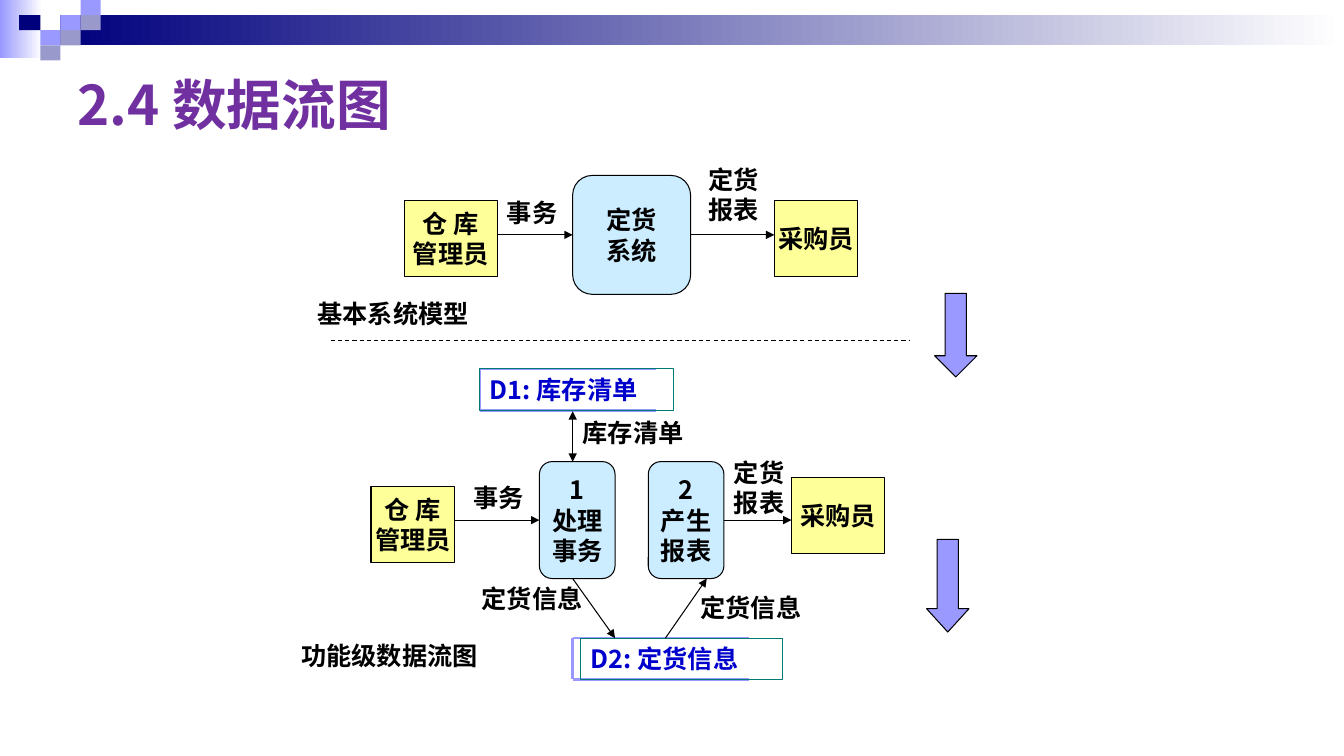
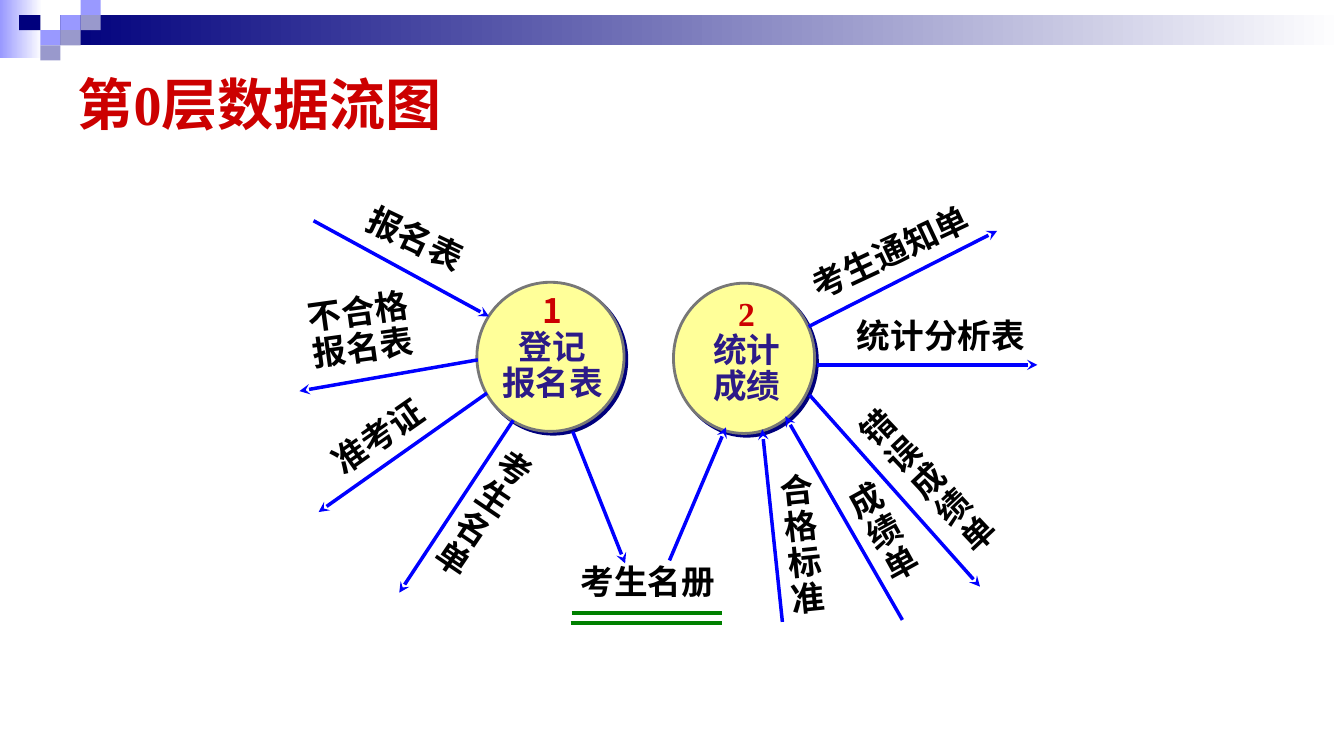
import pptx
import pptx.dml.color
import pptx.enum.dml
import pptx.enum.shapes
import pptx.enum.text
import pptx.oxml
import pptx.oxml.ns
import pptx.util
from dataclasses import dataclass

PX = 9144  # EMU in one px, 100 px to the inch
KIND = pptx.enum.shapes.MSO_SHAPE
MID = pptx.enum.text.MSO_ANCHOR.MIDDLE
LEFT = pptx.enum.text.PP_ALIGN.LEFT
CENTER = pptx.enum.text.PP_ALIGN.CENTER


@dataclass(frozen=True)
class Theme:
    sans: str = "Noto Sans CJK SC"
    sans_jp: str = "Noto Sans CJK JP"
    serif: str = "Times New Roman"
    black: str = "000000"
    navy: str = "00007D"
    violet: str = "9999FF"
    gray: str = "9999CC"
    white: str = "FFFFFF"
    yellow: str = "FFFF99"
    sky: str = "CCECFF"
    teal: str = "007A77"
    blue: str = "0000FF"
    ink: str = "0000CC"
    purple: str = "7030A0"
    red: str = "CC0000"
    indigo: str = "2C1A88"
    rim: str = "777777"
    green: str = "008000"
    small: int = 18
    large: int = 24
    thin: float = 0.75
    mid: float = 2
    bold: float = 2.5
    thick: float = 3


T = Theme()

# Shared by both slides: box and fill; a pair of colours is a gradient
BAND = [
    ((0, 0, 42, 58), (T.violet, T.white)),
    ((60, 15, 1273, 30), (T.navy, T.white)),
    ((60, 15, 20, 15), T.violet),
    ((80, 0, 20, 15), T.violet),
    ((80, 15, 20, 15), T.gray),
    ((40, 30, 20, 15), T.violet),
    ((19, 15, 21, 15), T.navy),
    ((60, 30, 20, 15), T.gray),
    ((40, 45, 20, 15), T.gray),
]
TITLE_BOX = (67, 50, 1200, 105)

# Slide 1: system model above, functions below
PEOPLE = [
    ("仓 库\n管理员", (401, 199, 92, 75)),
    ("采购员", (768, 199, 83, 75)),
    ("仓 库\n管理员", (368, 483, 83, 75)),
    ("采购员", (785, 474, 92, 75)),
]
TASKS = [
    ("定货\n系统", (568, 174, 117, 118)),
    ("1\n处理\n事务", (535, 458, 75, 116)),
    ("2\n产生\n报表", (643, 458, 75, 116)),
]
STORES = [  # text, box, left of the bracket
    ("D1: 库存清单", (476, 366, 192, 41), 476),
    ("D2: 定货信息", (576, 633, 200, 41), 568),
]
BRACKET = 175
FLOWS = [
    ((493, 233), (568, 233)),
    ((685, 233), (768, 233)),
    ((451, 516), (535, 516)),
    ((718, 516), (785, 516)),
    ((568, 574), (610, 633)),
    ((660, 633), (701, 574)),
]
STOCK = ((568, 408), (568, 458))
SPLIT = ((328, 338), (903, 338))
NOTES = [
    ("基本系统模型", (305, 291, 175, 40)),
    ("功能级数据流图", (289, 630, 208, 40)),
    ("事务", (493, 191, 75, 40)),
    ("定货报表", (693, 158, 75, 70)),
    ("事务", (460, 474, 75, 40)),
    ("定货报表", (718, 449, 75, 70)),
    ("定货信息", (468, 574, 142, 40)),
    ("定货信息", (685, 583, 125, 40)),
    ("库存清单", (568, 409, 122, 40)),
]
STEPS = [((927, 291, 42, 83), 0.5), ((919, 535, 42, 92), 0.55)]

# Slide 2: two processes, their flows and one file
DISCS = [  # number, its font, name, disc, text box
    ("1", T.sans, "登记\n报名表", (473, 280, 146, 148), (478, 287, 140, 119)),
    ("2", T.serif, "统计\n成绩", (668, 281, 140, 149), (689, 290, 103, 119)),
]
RAYS = [
    ((311, 219), (485, 314)),
    ((474, 357), (297, 388)),
    ((483, 390), (316, 508)),
    ((509, 417), (396, 588)),
    ((568, 428), (620, 559)),
    ((664, 556), (720, 424)),
    ((802, 324), (989, 229)),
    ((810, 362), (1029, 362)),
    ((803, 392), (972, 582)),
    ((895, 615), (779, 413)),
    ((776, 617), (756, 426)),
]
FILE = [((567, 608), (716, 608)), ((566, 618), (716, 618))]
NAMES = [  # text, box, turn, line spacing
    ("报名表", (352, 212, 124, 51), 25.5, 1),
    ("不合格\n报名表", (298, 287, 126, 83), 352.1, 0.9),
    ("准考证", (314, 404, 131, 51), 325.1, 1),
    ("考生名单", (452, 434, 53, 156), 34.1, 0.9),
    ("考生名册", (566, 556, 155, 47), 0, 0.9),
    ("考生通知单", (790, 224, 189, 51), 334.9, 1),
    ("统计分析表", (840, 307, 237, 51), 0, 1),
    ("错误成绩单", (896, 383, 53, 192), 316.7, 0.9),
    ("成绩单", (851, 470, 53, 119), 331.2, 0.9),
    ("合格标准", (770, 464, 63, 156), 354.2, 0.9),
]


def emu(nums):
    return [n * PX for n in nums]


def rgb(color):
    return pptx.dml.color.RGBColor.from_string(color)


def node(tag, **attrs):
    item = pptx.oxml.parse_xml(f"<a:{tag} {pptx.oxml.ns.nsdecls('a')}/>")
    for key, value in attrs.items():
        item.set(key, value)
    return item


def write(frame, rows, align=LEFT, space=1):
    """Fill a frame with rows of (text, size, colour, font)."""
    for i, (text, size, color, face) in enumerate(rows):
        para = frame.add_paragraph() if i else frame.paragraphs[0]
        para.alignment, para.line_spacing = align, space
        run = para.add_run()
        run.text = text
        for font in (para.font, run.font):
            font.name, font.bold = face, True
            font.size = pptx.util.Pt(size)
            font.color.rgb = rgb(color)


def lines(text, size=T.small, color=T.black):
    return [(line, size, color, T.sans) for line in text.split("\n")]


def block(slide, kind, box, fill=None, line=None, width=T.thin):
    shape = slide.shapes.add_shape(kind, *emu(box))
    shape.shadow.inherit = False
    if isinstance(fill, tuple):
        shape.fill.gradient()
        shape.fill.gradient_angle = 0
        for stop, color in zip(shape.fill.gradient_stops, fill):
            stop.color.rgb = rgb(color)
    elif fill:
        shape.fill.solid()
        shape.fill.fore_color.rgb = rgb(fill)
    else:
        shape.fill.background()
    if line:
        shape.line.color.rgb = rgb(line)
        shape.line.width = pptx.util.Pt(width)
    else:
        shape.line.fill.background()
    return shape


def node_box(slide, kind, box, fill, text):
    """Add an outlined box with centred text that does not wrap."""
    shape = block(slide, kind, box, fill, T.black)
    frame = shape.text_frame
    frame.word_wrap, frame.vertical_anchor = False, MID
    write(frame, lines(text), CENTER)
    return shape


def label(slide, rows, box, turn=0, align=LEFT, space=1):
    shape = slide.shapes.add_textbox(*emu(box))
    shape.rotation = turn
    shape.text_frame.word_wrap = True
    write(shape.text_frame, rows, align, space)


def link(slide, ends, color=T.black, width=T.thin, tip=None, both=False,
         dash=None, sites=()):
    """Draw a line, joined to a shape at each end found in sites."""
    start, stop = ends
    line = slide.shapes.add_connector(
        pptx.enum.shapes.MSO_CONNECTOR.STRAIGHT, *emu(start + stop))
    if start in sites:
        line.begin_connect(*sites[start])
    if stop in sites:
        line.end_connect(*sites[stop])
    line.line.color.rgb = rgb(color)
    line.line.width = pptx.util.Pt(width)
    if dash:
        line.line.dash_style = dash
    stroke = line.element.xpath(".//a:ln")[0]
    if both:
        stroke.append(node("headEnd", type=tip))
    if tip:
        stroke.append(node("tailEnd", type=tip))
    stroke.addnext(node("effectLst"))


def sides(shape, box):
    """Map the middle of each side to its shape and site number."""
    x, y, w, h = box
    spots = [(x + w // 2, y), (x, y + h // 2),
             (x + w // 2, y + h), (x + w, y + h // 2)]
    return {spot: (shape, i) for i, spot in enumerate(spots)}


def cast(shape):
    """Give a shape a hard navy shadow to the lower right."""
    shadow = node("outerShdw", dist="35560", dir="2700000",
                  algn="ctr", rotWithShape="0")
    shadow.append(node("srgbClr", val=T.navy))
    shape.element.xpath(".//a:effectLst")[0].append(shadow)


def set_master(deck, slide):
    """Move the band and the title place to the slide master."""
    master = deck.slide_master
    for i, (box, fill) in enumerate(BAND):
        item = block(slide, KIND.RECTANGLE, box, fill).element
        item.xpath(".//p:cNvPr")[0].set("id", str(100 + i))
        master.shapes.element.insert(2 + i, item)
    title = master.placeholders[0]
    title.left, title.top, title.width, title.height = emu(TITLE_BOX)
    title.text_frame.vertical_anchor = MID


def head(slide, *row):
    frame = slide.shapes.title.text_frame
    frame.auto_size = pptx.enum.text.MSO_AUTO_SIZE.NONE
    write(frame, [row])


def draw_order(slide):
    head(slide, "2.4 数据流图", 39, T.purple, T.sans_jp)
    sites = {}
    for text, box in PEOPLE:
        shape = node_box(slide, KIND.RECTANGLE, box, T.yellow, text)
        sites.update(sides(shape, box))
    for text, box in TASKS:
        shape = node_box(slide, KIND.ROUNDED_RECTANGLE, box, T.sky, text)
        sites.update(sides(shape, box))
    for text, box, x in STORES:
        y, low, end = box[1], box[1] + box[3], x + BRACKET
        for ends in (((x, y), (end, y)), ((x, y), (x, low)),
                     ((x, low), (end, low))):
            link(slide, ends, T.violet, T.mid)
        shape = block(slide, KIND.RECTANGLE, box, line=T.teal)
        shape.text_frame.vertical_anchor = pptx.enum.text.MSO_ANCHOR.TOP
        write(shape.text_frame, lines(text, color=T.ink))
    for ends in FLOWS:
        link(slide, ends, tip="triangle", sites=sites)
    link(slide, STOCK, tip="triangle", both=True)
    link(slide, SPLIT, dash=pptx.enum.dml.MSO_LINE.DASH)
    for text, box in NOTES:
        label(slide, lines(text), box)
    for box, tip in STEPS:
        arrow = block(slide, KIND.DOWN_ARROW, box, T.violet, T.black)
        arrow.adjustments[1] = tip


def draw_exam(slide):
    head(slide, "第0层数据流图", 40, T.red, T.serif)
    for num, face, name, disc, box in DISCS:
        cast(block(slide, KIND.OVAL, disc, T.yellow, T.rim, T.mid))
        rows = [(num, T.large, T.red, face)] + lines(name, T.large, T.indigo)
        label(slide, rows, box, align=CENTER, space=0.9)
    for ends in RAYS:
        link(slide, ends, T.blue, T.bold, tip="stealth")
    for ends in FILE:
        link(slide, ends, T.green, T.thick)
    for text, box, turn, space in NAMES:
        label(slide, lines(text, T.large), box, turn, space=space)


def main():
    deck = pptx.Presentation()
    deck.slide_width, deck.slide_height = emu((1333, 750))
    pages = [deck.slides.add_slide(deck.slide_layouts[5]) for _ in range(2)]
    set_master(deck, pages[0])
    for draw, slide in zip((draw_order, draw_exam), pages):
        draw(slide)
        for latin in list(slide.element.iter(pptx.oxml.ns.qn("a:latin"))):
            latin.addnext(node("ea", typeface=T.sans))
    deck.save("out.pptx")


if __name__ == "__main__":
    main()
